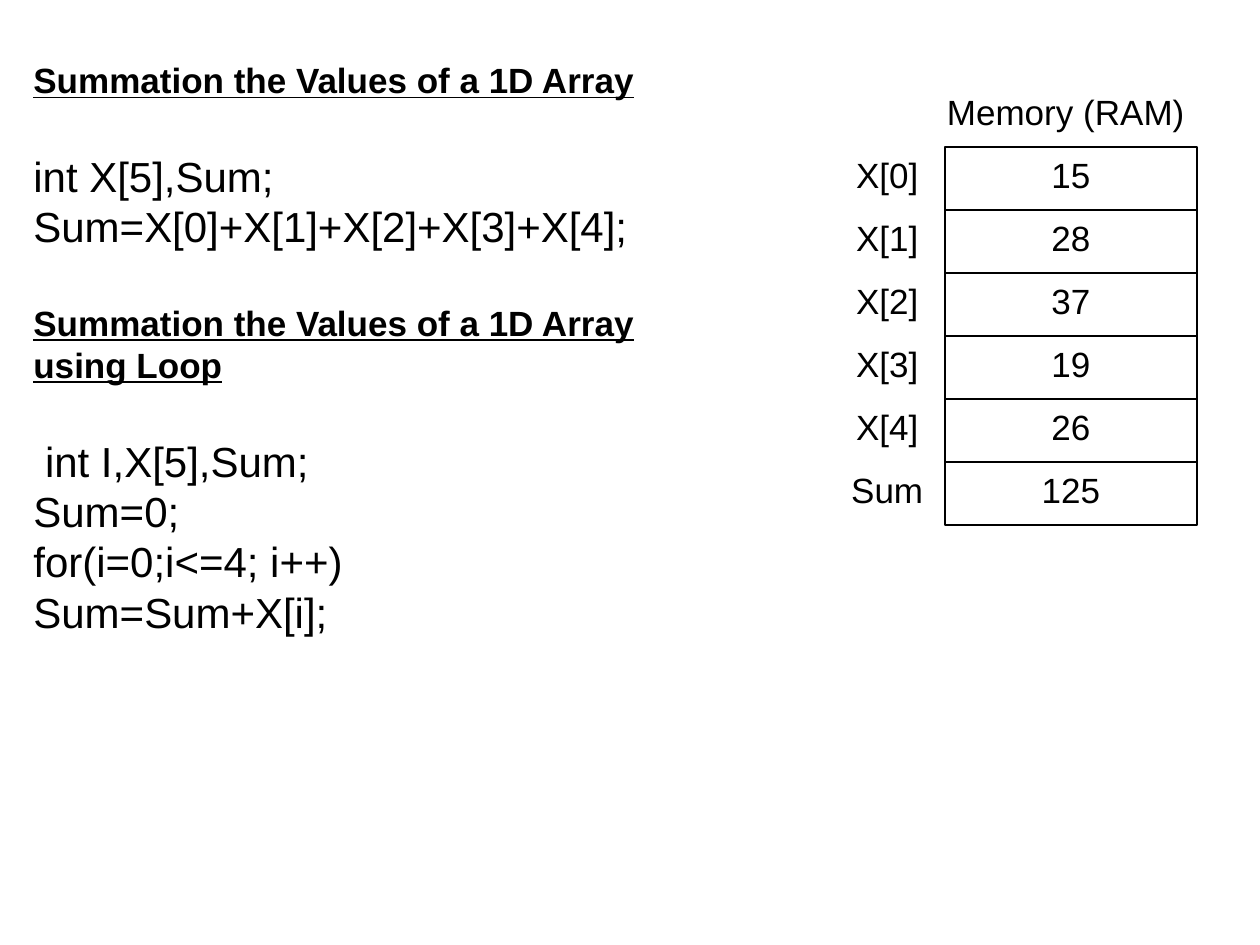
from pptx import Presentation
from pptx.dml.color import RGBColor
from pptx.enum.shapes import MSO_SHAPE
from pptx.enum.text import MSO_ANCHOR, MSO_AUTO_SIZE, PP_ALIGN
from pptx.util import Inches, Pt

RECT = MSO_SHAPE.RECTANGLE
TOP, MIDDLE = MSO_ANCHOR.TOP, MSO_ANCHOR.MIDDLE
LEFT, CENTER = PP_ALIGN.LEFT, PP_ALIGN.CENTER
GROW = MSO_AUTO_SIZE.SHAPE_TO_FIT_TEXT
WIDE, HIGH = Inches(10), Inches(7.5)
COLS, ROWS = 120, 90
INK = "000000"

BASE = {"name": "Arial", "size": Pt(20), "bold": False, "underline": False}
HEAD = {**BASE, "bold": True, "underline": True}
CODE = {**BASE, "size": Pt(24)}
LEAD = {HEAD["size"]: Pt(24), CODE["size"]: Pt(28.7)}
GAP = Pt(28.7)

NOTES = [
    (HEAD, ["Summation the Values of a 1D Array"]),
    (CODE, ["int X[5],Sum;", "Sum=X[0]+X[1]+X[2]+X[3]+X[4];"]),
    (HEAD, ["Summation the Values of a 1D Array", "using Loop"]),
    (CODE, [" int I,X[5],Sum;", "Sum=0;", "for(i=0;i<=4; i++)", "Sum=Sum+X[i];"]),
]
VALUES = {"X[0]": 15, "X[1]": 28, "X[2]": 37, "X[3]": 19, "X[4]": 26, "Sum": 125}


def paint(code):
    return RGBColor.from_string(code)


def place(x, y, w, h):
    return [round(n) for n in (x * WIDE / COLS, y * HIGH / ROWS,
                               w * WIDE / COLS, h * HIGH / ROWS)]


def style(part, form, align):
    part.alignment = align
    for key, value in form.items():
        setattr(part.font, key, value)
    part.font.color.rgb = paint(INK)


def write(shape, text):
    frame = shape.text_frame
    frame.word_wrap = True
    frame.vertical_anchor = TOP
    frame.text = text
    style(frame.paragraphs[0], BASE, CENTER)


def label(shapes, text, box):
    shape = shapes.add_textbox(*place(*box))
    write(shape, text)
    shape.text_frame.auto_size = GROW


def cell(shapes, text, box):
    shape = shapes.add_shape(RECT, *place(*box))
    shape.shadow.inherit = False
    shape.fill.background()
    shape.line.color.rgb = paint(INK)
    shape.line.width = Pt(0.75)
    write(shape, text)


def lesson(shapes, box):
    frame = shapes.add_textbox(*place(*box)).text_frame
    frame.word_wrap = True
    frame.vertical_anchor = MIDDLE
    frame.margin_bottom = Inches(0.05) + GAP
    for i, (form, lines) in enumerate(NOTES):
        part = frame.add_paragraph() if i else frame.paragraphs[0]
        part.text = "\v".join(lines)
        part.line_spacing = LEAD[form["size"]]
        if i:
            part.space_before = GAP
        style(part, form, LEFT)


def memory(shapes, box):
    x, y, w, h = box
    group = shapes.add_group_shape().shapes
    step = h / (len(VALUES) + 1)
    tall = step * 7 / 8
    side = 11
    label(group, "Memory (RAM)", (x + 8, y, w - 8, tall))
    for i, (name, value) in enumerate(VALUES.items(), 1):
        row = y + i * step
        label(group, name, (x, row, side, tall))
        cell(group, str(value), (x + side, row, 24, step))


def main():
    deck = Presentation()
    deck.slide_width, deck.slide_height = WIDE, HIGH
    slide = deck.slides.add_slide(deck.slide_layouts[6])
    lesson(slide.shapes, (2, 8, 116, 55))
    memory(slide.shapes, (79, 8, 37, 42))
    deck.save("out.pptx")


if __name__ == "__main__":
    main()
